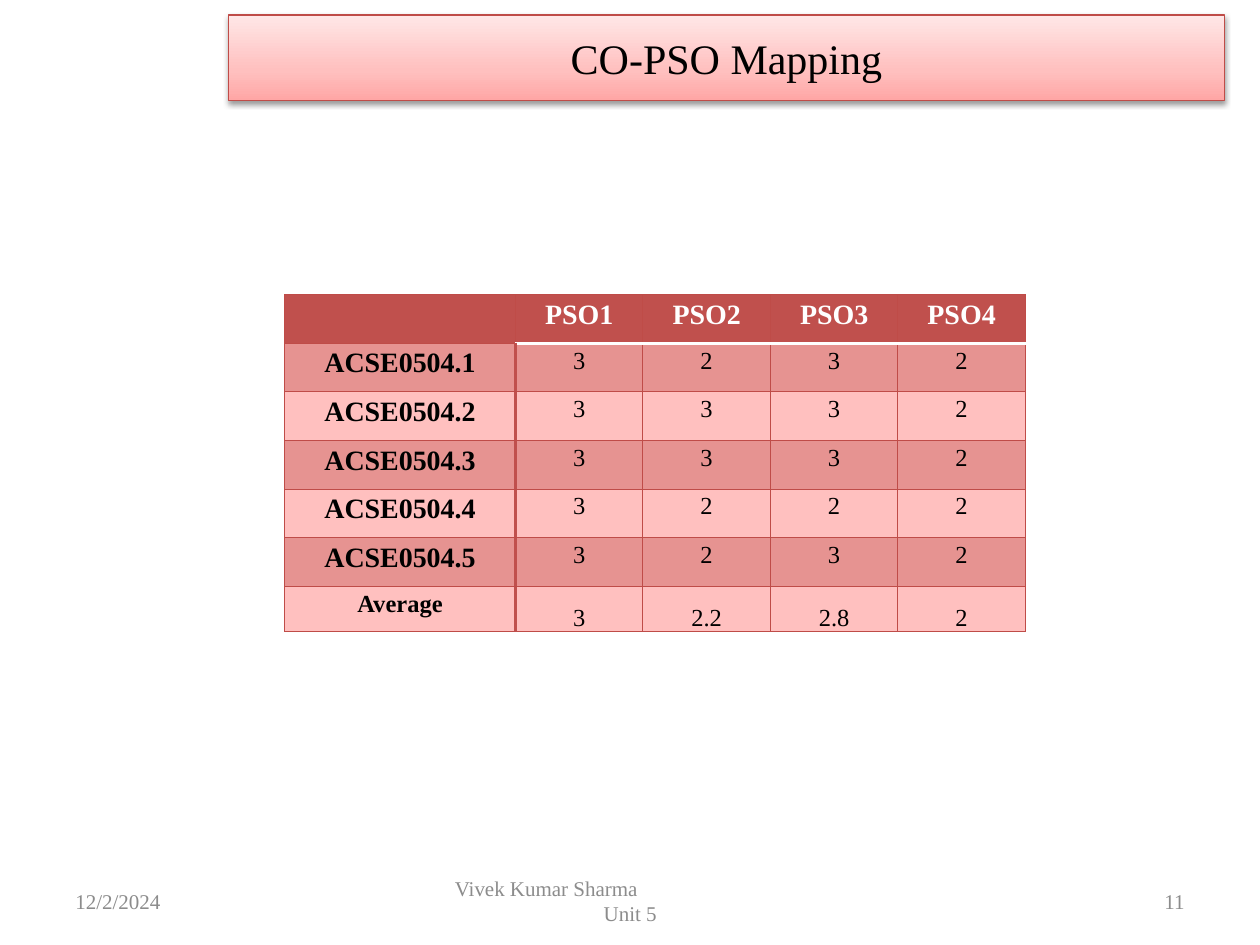
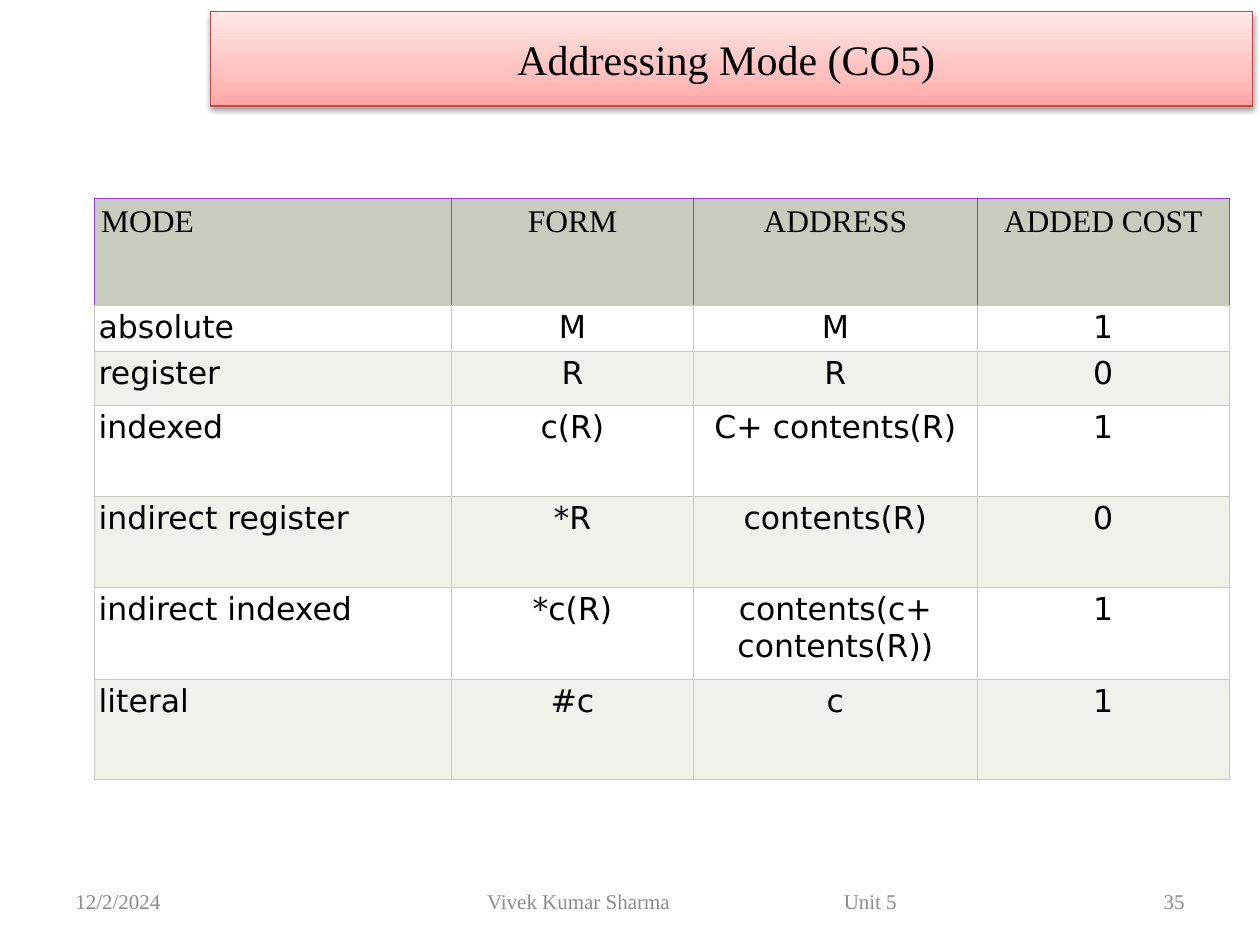
import pptx
import pptx.dml.color
import pptx.enum.text
import pptx.oxml
import pptx.oxml.ns
import pptx.util

Cm = pptx.util.Cm
Pt = pptx.util.Pt
RGB = pptx.dml.color.RGBColor
ALIGN = pptx.enum.text.PP_ALIGN
ANCHOR = pptx.enum.text.MSO_ANCHOR
NS = pptx.oxml.ns.nsdecls("a")

# Shared colours and fonts
BLACK = RGB(0x00, 0x00, 0x00)
WHITE = RGB(0xFF, 0xFF, 0xFF)
GREY = RGB(0x8C, 0x8C, 0x8C)
RED = RGB(0xC0, 0x50, 0x4D)
EDGE = RGB(0xBF, 0x4C, 0x48)
ROSE = RGB(0xE6, 0x93, 0x91)
PINK = RGB(0xFF, 0xC0, 0xBF)
BLUSH = RGB(0xFF, 0xA6, 0xA5)
PALE = RGB(0xFF, 0xE7, 0xE7)
SAGE = RGB(0xC7, 0xCC, 0xBE)
MIST = RGB(0xEF, 0xF1, 0xEB)
VIOLET = RGB(0x98, 0x3B, 0xE5)
SERIF = "Times New Roman"
SANS = "DejaVu Sans"

# Table contents
SCORES = [
    ("", "PSO1", "PSO2", "PSO3", "PSO4"),
    ("ACSE0504.1", "3", "2", "3", "2"),
    ("ACSE0504.2", "3", "3", "3", "2"),
    ("ACSE0504.3", "3", "3", "3", "2"),
    ("ACSE0504.4", "3", "2", "2", "2"),
    ("ACSE0504.5", "3", "2", "3", "2"),
    ("Average", "3", "2.2", "2.8", "2"),
]
MODES = [
    ("MODE", "FORM", "ADDRESS", "ADDED COST"),
    ("absolute", "M", "M", "1"),
    ("register", "R", "R", "0"),
    ("indexed", "c(R)", "C+ contents(R)", "1"),
    ("indirect register", "*R", "contents(R)", "0"),
    ("indirect indexed", "*c(R)", "contents(c+ contents(R))", "1"),
    ("literal", "#c", "c", "1"),
]


def write(para, text, size, color, face=SERIF, bold=False, align=ALIGN.LEFT):
    """Add one formatted run to a paragraph."""
    para.alignment = align
    run = para.add_run()
    run.text = text
    font = run.font
    font.name, font.size, font.bold = face, Pt(size), bold
    font.color.rgb = color


def banner(slide, text, box):
    """Title on a pink gradient with a soft shadow."""
    title = slide.shapes.title
    title.left, title.top, title.width, title.height = map(Cm, box)
    stops = "".join(
        f'<a:gs pos="{pos * 1000}"><a:srgbClr val="{color}"/></a:gs>'
        for pos, color in ((0, BLUSH), (35, PINK), (100, PALE)))
    props = title._element.spPr
    props.append(pptx.oxml.parse_xml(
        f'<a:gradFill {NS} rotWithShape="1"><a:gsLst>{stops}</a:gsLst>'
        '<a:lin ang="16200000" scaled="0"/></a:gradFill>'))
    title.line.color.rgb = EDGE
    title.line.width = Pt(0.75)
    props.append(pptx.oxml.parse_xml(
        f'<a:effectLst {NS}><a:outerShdw blurRad="{Pt(3.1)}" dist="{Pt(1.6)}" '
        'dir="5400000" rotWithShape="0"><a:srgbClr val="000000">'
        '<a:alpha val="38000"/></a:srgbClr></a:outerShdw></a:effectLst>'))
    title.text_frame.vertical_anchor = ANCHOR.MIDDLE
    write(title.text_frame.paragraphs[0], text, 24, BLACK, align=ALIGN.CENTER)


def label(slide, left, width):
    """Empty text frame in the footer band."""
    shape = slide.shapes.add_textbox(Cm(left), Cm(17.65), Cm(width), Cm(1.02))
    frame = shape.text_frame
    frame.word_wrap = True
    frame.vertical_anchor = ANCHOR.MIDDLE
    return frame


def footer(slide, number, left, width, lines):
    """Date, author with unit, and slide number; lines hold (tab, text) pairs."""
    date = label(slide, 1.27, 5.92)
    write(date.paragraphs[0], "12/2/2024", 12, GREY)
    page = label(slide, 18.21, 5.92)
    write(page.paragraphs[0], number, 12, GREY, align=ALIGN.RIGHT)
    frame = label(slide, left, width)
    for i, line in enumerate(lines):
        para = frame.paragraphs[0] if i == 0 else frame.add_paragraph()
        tabs = "".join(f'<a:tab pos="{Cm(pos)}" algn="l"/>' for pos, _ in line)
        para._p.get_or_add_pPr().append(
            pptx.oxml.parse_xml(f"<a:tabLst {NS}>{tabs}</a:tabLst>"))
        for _, text in line:
            write(para, "\t" + text, 12, GREY)


def border(cell, **sides):
    """Draw cell edges: each of L, R, T, B is a (colour, points) pair."""
    props = cell._tc.get_or_add_tcPr()
    for side in "LRTB":
        color, width = sides[side]
        props.append(pptx.oxml.parse_xml(
            f'<a:ln{side} {NS} w="{Pt(width)}"><a:solidFill>'
            f'<a:srgbClr val="{color}"/></a:solidFill></a:ln{side}>'))


def grid(slide, data, left, top, cols, rows):
    """Add an unstyled table and return it."""
    table = slide.shapes.add_table(
        len(rows), len(cols), Cm(left), Cm(top),
        Cm(sum(cols)), Cm(sum(rows))).table
    table.first_row = table.horz_banding = False
    for col, width in zip(table.columns, cols):
        col.width = Cm(width)
    for row, height in zip(table.rows, rows):
        row.height = Cm(height)
    return [(r, c, table.cell(r, c), text)
            for r, line in enumerate(data) for c, text in enumerate(line)]


def inset(cell, side, top):
    cell.margin_left = cell.margin_right = Cm(side)
    cell.margin_top = cell.margin_bottom = Cm(top)


def paint(cell, color):
    cell.fill.solid()
    cell.fill.fore_color.rgb = color


def scores(slide, left, top):
    """Outcome scores: red head, bold first column, banded rows."""
    last = len(SCORES) - 1
    thin, thick, rule = (EDGE, 0.75), (RED, 2), (WHITE, 2)
    cells = grid(slide, SCORES, left, top,
                 [4.65] + [2.57] * 4, [0.98] * last + [0.91])
    for r, c, cell, text in cells:
        head, name = r == 0, c == 0
        inset(cell, 0.18, 0)
        border(cell,
               L=thick if c == 1 and not head else thin,
               R=thick if name and not head else thin,
               T=rule if r == 1 and not name else thin,
               B=rule if head and not name else thin)
        paint(cell, RED if head else ROSE if r % 2 else PINK)
        if r == last and not name:
            cell.vertical_anchor = ANCHOR.BOTTOM
        if text:
            para = cell.text_frame.paragraphs[0]
            para.line_spacing = 1.15
            big = head or (name and r < last)
            write(para, text, 16 if big else 14, WHITE if head else BLACK,
                  bold=head or name, align=ALIGN.CENTER)


def modes(slide, left, top):
    """Addressing modes: sage head, left first column, banded rows."""
    cells = grid(slide, MODES, left, top, [7.19, 4.88, 5.72, 5.08],
                 [2.16, 0.94, 1.09, 1.83, 1.83, 1.85, 2.03])
    for r, c, cell, text in cells:
        head = r == 0
        pad = 0.13 if head else 0.08
        inset(cell, pad, pad)
        line, base = (VIOLET if head else SAGE, 0.5), (SAGE, 0.5)
        border(cell, L=line, R=line, T=line, B=base)
        paint(cell, SAGE if head else WHITE if r % 2 else MIST)
        write(cell.text_frame.paragraphs[0], text, 18, BLACK,
              SERIF if head else SANS,
              align=ALIGN.CENTER if c else ALIGN.LEFT)


def main():
    deck = pptx.Presentation()
    deck.slide_width, deck.slide_height = Cm(25.4), Cm(19.05)
    plain = deck.slide_layouts[5]
    name, unit = "Vivek Kumar Sharma", "Unit 5"

    # Outcome mapping
    slide = deck.slides.add_slide(plain)
    scores(slide, 5.74, 5.94)
    footer(slide, "11", 8.69, 8.05, [[(0.23, name)], [(3.23, unit)]])
    banner(slide, "CO-PSO Mapping", (4.6, 0.3, 20.09, 1.73))

    # Addressing modes
    slide = deck.slides.add_slide(plain)
    banner(slide, "Addressing Mode (CO5) ", (4.24, 0.23, 21.01, 1.91))
    footer(slide, "35", 6.98, 13.97, [[(2.59, name), (9.78, unit)]])
    modes(slide, 1.91, 3.99)

    deck.save("out.pptx")


if __name__ == "__main__":
    main()
